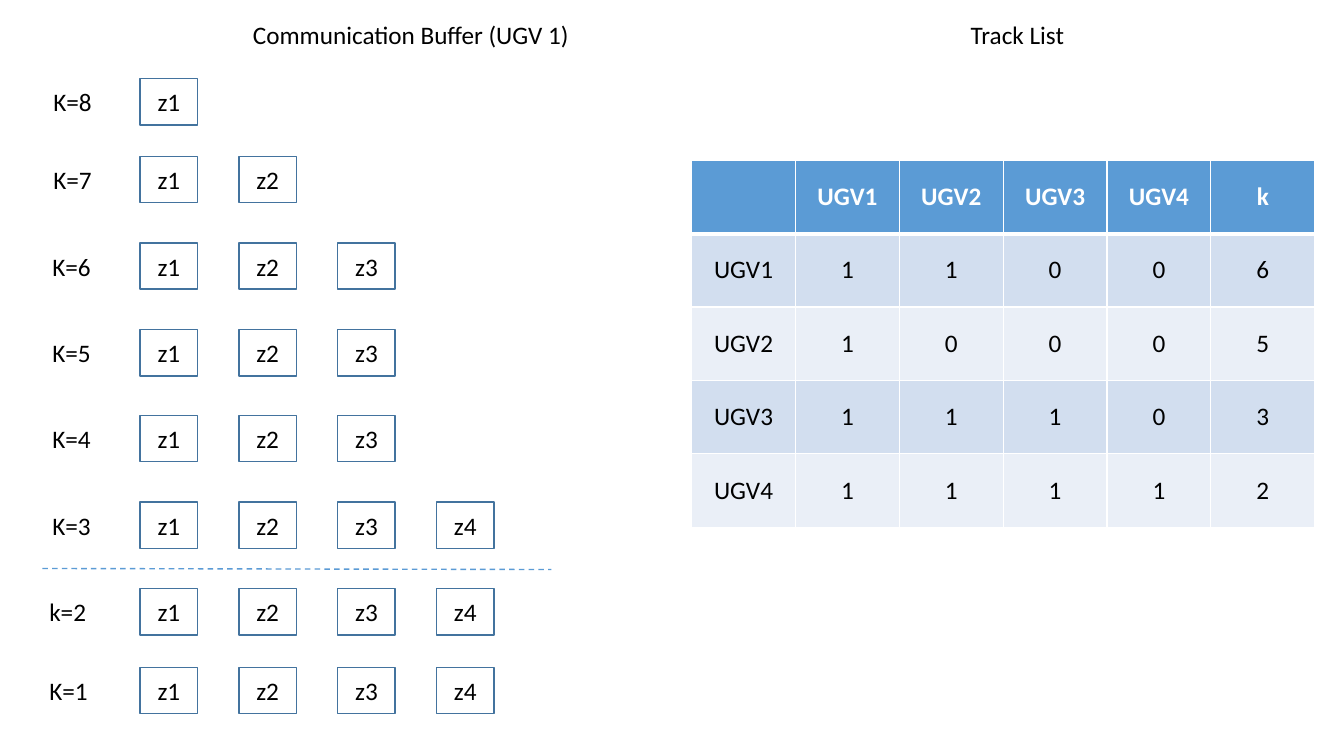
"""Builds the communication buffer and track list slide."""
from lxml import etree
from pptx import Presentation
from pptx import util as u
from pptx.dml.color import RGBColor
from pptx.enum import dml, shapes, text
from pptx.oxml import ns

HUES = {"ink": "000000", "white": "FFFFFF", "edge": "43739E",
        "blue": "5B9BD5", "band": "D2DEEF", "pale": "EAEFF7"}


class Deck:
    """Holds the style and the current slide."""

    def __init__(self, font, size):
        self.font, self.size = font, u.Pt(size)
        self.prs = Presentation()
        self.prs.slide_width = u.Inches(13.33)
        self.prs.slide_height = u.Inches(7.5)
        self.slide = self.prs.slides.add_slide(self.prs.slide_layouts[6])

    def hue(self, name):
        """Return the named colour."""
        return RGBColor.from_string(HUES[name])

    def put(self, frame, words, hue="ink", bold=False, center=True):
        """Put one styled run in a text frame."""
        para = frame.paragraphs[0]
        para.alignment = text.PP_ALIGN.CENTER if center else text.PP_ALIGN.LEFT
        run = para.add_run()
        run.text = words
        run.font.name, run.font.size, run.font.bold = self.font, self.size, bold
        run.font.color.rgb = self.hue(hue)

    def label(self, words, x, y, wide):
        """Add a line of plain text."""
        frame = self.slide.shapes.add_textbox(
            u.Inches(x), u.Inches(y), u.Inches(wide), u.Inches(0.4)).text_frame
        frame.word_wrap = False
        frame.auto_size = text.MSO_AUTO_SIZE.SHAPE_TO_FIT_TEXT
        self.put(frame, words, center=False)

    def box(self, words, x, y):
        """Add an outlined buffer cell."""
        box = self.slide.shapes.add_shape(
            shapes.MSO_SHAPE.RECTANGLE, u.Inches(x), u.Inches(y),
            u.Inches(0.57), u.Inches(0.46))
        box.shadow.inherit = False
        box.fill.background()
        box.line.color.rgb = self.hue("edge")
        box.line.width = u.Pt(1)
        box.text_frame.vertical_anchor = text.MSO_ANCHOR.MIDDLE
        self.put(box.text_frame, words)

    def dash(self, x1, y1, x2, y2):
        """Add a dashed line."""
        line = self.slide.shapes.add_connector(
            shapes.MSO_CONNECTOR.STRAIGHT, u.Inches(x1), u.Inches(y1),
            u.Inches(x2), u.Inches(y2))
        line.line.color.rgb = self.hue("blue")
        line.line.width = u.Pt(1)
        line.line.dash_style = dml.MSO_LINE.DASH
        etree.SubElement(line._element.spPr, ns.qn("a:effectLst"))

    def edge(self, cell, side, width):
        """Draw one white border of a cell."""
        props = cell._tc.get_or_add_tcPr()
        line = etree.SubElement(props, ns.qn("a:ln" + side), w=str(u.Pt(width)))
        fill = etree.SubElement(line, ns.qn("a:solidFill"))
        etree.SubElement(fill, ns.qn("a:srgbClr"), val=HUES["white"])

    def table(self, rows, x, y, wide, high):
        """Add a banded table with a header row."""
        grid = self.slide.shapes.add_table(
            len(rows), len(rows[0]), u.Inches(x), u.Inches(y),
            u.Inches(wide), u.Inches(high)).table
        for r, row in enumerate(rows):
            head = r == 0
            fill = "blue" if head else "band" if r % 2 else "pale"
            for c, words in enumerate(row):
                cell = grid.cell(r, c)
                for side in "LRTB":
                    thick = (side, r) in (("B", 0), ("T", 1))
                    self.edge(cell, side, 3 if thick else 1)
                cell.fill.solid()
                cell.fill.fore_color.rgb = self.hue(fill)
                cell.vertical_anchor = text.MSO_ANCHOR.MIDDLE
                if words:
                    self.put(cell.text_frame, words,
                             "white" if head else "ink", head)


STEPS = [("K=8", 0.43, 0.78, 1), ("K=7", 0.43, 1.55, 2),
         ("K=6", 0.42, 2.41, 3), ("K=5", 0.42, 3.27, 3),
         ("K=4", 0.42, 4.12, 3), ("K=3", 0.42, 4.98, 4),
         ("k=2", 0.39, 5.84, 4), ("K=1", 0.39, 6.62, 4)]
UNITS = ["UGV1", "UGV2", "UGV3", "UGV4"]
TRACKS = ["11006", "10005", "11103", "11112"]

deck = Deck("Calibri", 18)
deck.label("Communication Buffer (UGV 1)", 2.41, 0.14, 3.38)
deck.label("Track List", 9.53, 0.14, 1.14)
for name, left, top, count in STEPS:
    deck.label(name, left, top + 0.03, 0.59)
    for i in range(count):
        deck.box(f"z{i + 1}", 1.39 + 0.98 * i, top)
deck.table([["", *UNITS, "k"]] + [[unit, *track] for unit, track in zip(UNITS, TRACKS)],
           6.86, 1.59, 6.18, 3.64)
deck.dash(0.42, 5.64, 5.47, 5.65)
deck.prs.save("out.pptx")
